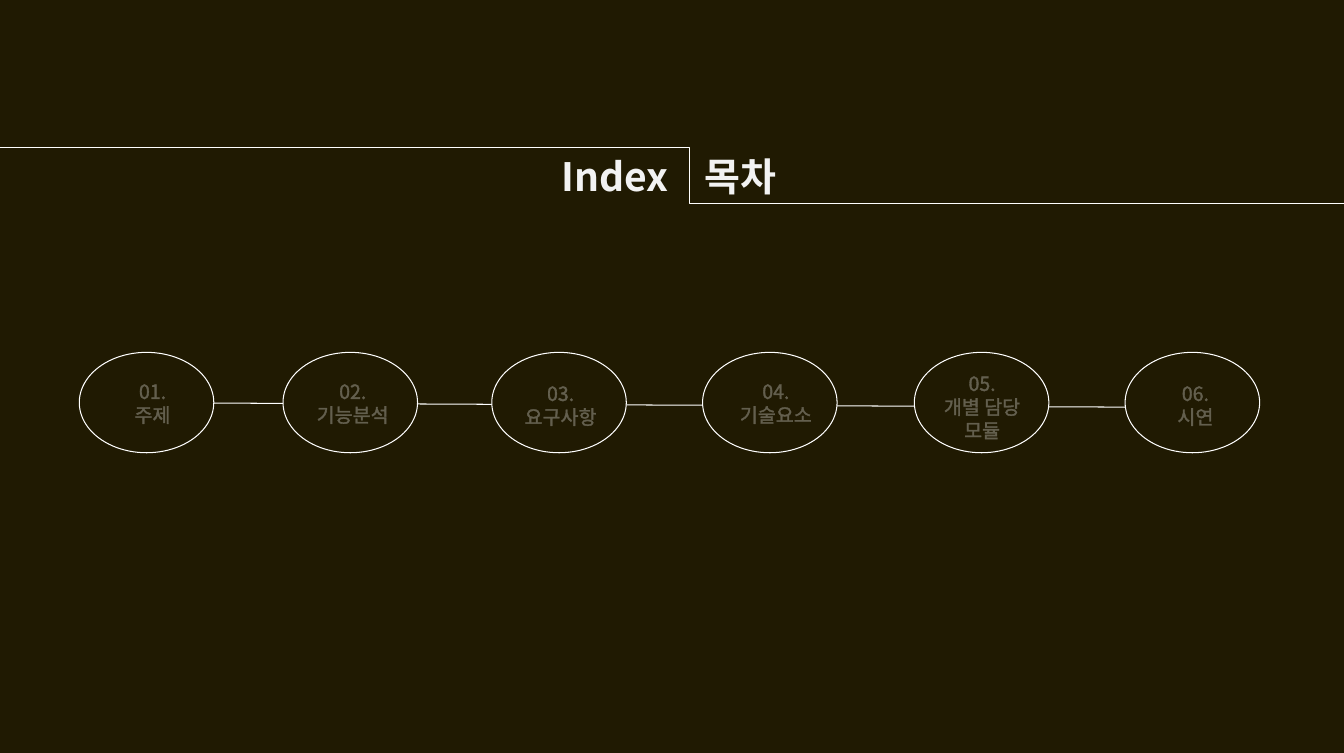
"""Build the index slide: a split title line and six linked topic ovals."""
import pptx
import pptx.dml.color
import pptx.enum.shapes
import pptx.enum.text
import pptx.oxml
import pptx.oxml.ns
import pptx.util
from lxml import etree

Inches = pptx.util.Inches
Pt = pptx.util.Pt
RGBColor = pptx.dml.color.RGBColor
CONNECTOR = pptx.enum.shapes.MSO_CONNECTOR
ALIGN = pptx.enum.text.PP_ALIGN
qn = pptx.oxml.ns.qn

DARK = RGBColor(0x20, 0x1A, 0x02)
WHITE = RGBColor(0xFF, 0xFF, 0xFF)
PALE = RGBColor(0xF2, 0xF2, 0xF2)
GREY = RGBColor(0xD9, 0xD9, 0xD9)
FONT = "Noto Sans CJK KR"
WIDTH, HEIGHT = 13.39, 7.5
OVAL_TOP, OVAL_WIDTH, OVAL_HEIGHT = 3.51, 1.34, 1

TOPICS = [
    (0.79, (1.11, 3.73, 0.82, 0.57), ["01.", "주제"]),
    (2.82, (2.88, 3.73, 1.27, 0.57), ["02.", "기능분석"]),
    (4.9, (4.94, 3.75, 1.29, 0.57), ["03.", "요구사항"]),
    (7, (7.12, 3.73, 1.22, 0.57), ["04.", "기술요소"]),
    (9.11, (9.12, 3.65, 1.33, 0.81), ["05.", "개별 담당", "모듈"]),
    (11.21, (11.49, 3.75, 0.84, 0.57), ["06.", "시연"]),
]


def style_line(line):
    """Give a line the thin white stroke of the slide."""
    line.color.rgb = WHITE
    line.width = Pt(0.75)


def add_line(s, kind, x1, y1, x2, y2):
    """Add a white connector without shadow."""
    line = s.shapes.add_connector(
        kind, Inches(x1), Inches(y1), Inches(x2), Inches(y2))
    style_line(line.line)
    etree.SubElement(line._element.spPr, qn("a:effectLst"))
    return line


def set_bend(line, share):
    """Place the vertical part of a bent connector."""
    geom = line._element.spPr.find(qn("a:prstGeom"))
    guides = geom.find(qn("a:avLst"))
    if guides is None:
        guides = etree.SubElement(geom, qn("a:avLst"))
    etree.SubElement(guides, qn("a:gd"), name="adj1",
                     fmla=f"val {round(share * 100000)}")


def add_oval(s, left):
    """Add one topic oval."""
    sp = s.shapes.add_shape(
        pptx.enum.shapes.MSO_SHAPE.OVAL, Inches(left), Inches(OVAL_TOP),
        Inches(OVAL_WIDTH), Inches(OVAL_HEIGHT))
    sp.shadow.inherit = False
    sp.fill.solid()
    sp.fill.fore_color.rgb = DARK
    style_line(sp.line)


def outline_run(r, color):
    """Add a thin text outline at 30 percent opacity."""
    ln = etree.Element(qn("a:ln"), w=str(Pt(0.75)))
    fill = etree.SubElement(ln, qn("a:solidFill"))
    clr = etree.SubElement(fill, qn("a:srgbClr"), val=str(color))
    etree.SubElement(clr, qn("a:alpha"), val="30000")
    r._r.get_or_add_rPr().insert(0, ln)


def add_text(s, box, lines, size=14, color=WHITE, outline=WHITE,
             bold=False, align=ALIGN.CENTER):
    """Add a text box with one paragraph for each line."""
    sp = s.shapes.add_textbox(*map(Inches, box))
    tf = sp.text_frame
    tf.word_wrap = True
    tf.auto_size = pptx.enum.text.MSO_AUTO_SIZE.SHAPE_TO_FIT_TEXT
    for i, text in enumerate(lines):
        p = tf.add_paragraph() if i else tf.paragraphs[0]
        p.alignment = align
        r = p.add_run()
        r.text = text
        r.font.size = Pt(size)
        r.font.bold = bold
        r.font.color.rgb = color
        r.font.name = FONT
        etree.SubElement(r._r.get_or_add_rPr(), qn("a:ea"), typeface=FONT)
        outline_run(r, outline)


def add_title(s):
    """Add the two title words on either side of the stepped line."""
    for left, width, text, align in (
            (4.67, 2.09, "Index", ALIGN.RIGHT),
            (6.92, 1.76, "목차", ALIGN.LEFT)):
        add_text(s, (left, 1.47, width, 0.57), [text], 28, PALE, GREY,
                 True, align)
    line = add_line(s, CONNECTOR.ELBOW, 0, 1.47, WIDTH, 2.03)
    set_bend(line, 0.513)


def main():
    """Build and save the slide."""
    prs = pptx.Presentation()
    prs.slide_width = Inches(WIDTH)
    prs.slide_height = Inches(HEIGHT)
    s = prs.slides.add_slide(prs.slide_layouts[6])
    s.background.fill.solid()
    s.background.fill.fore_color.rgb = DARK
    add_line(s, CONNECTOR.STRAIGHT, 1.04, 4.01, 12.34, 4.06)
    for left, box, lines in TOPICS:
        add_oval(s, left)
        add_text(s, box, lines)
    add_title(s)
    prs.save("out.pptx")


if __name__ == "__main__":
    main()
